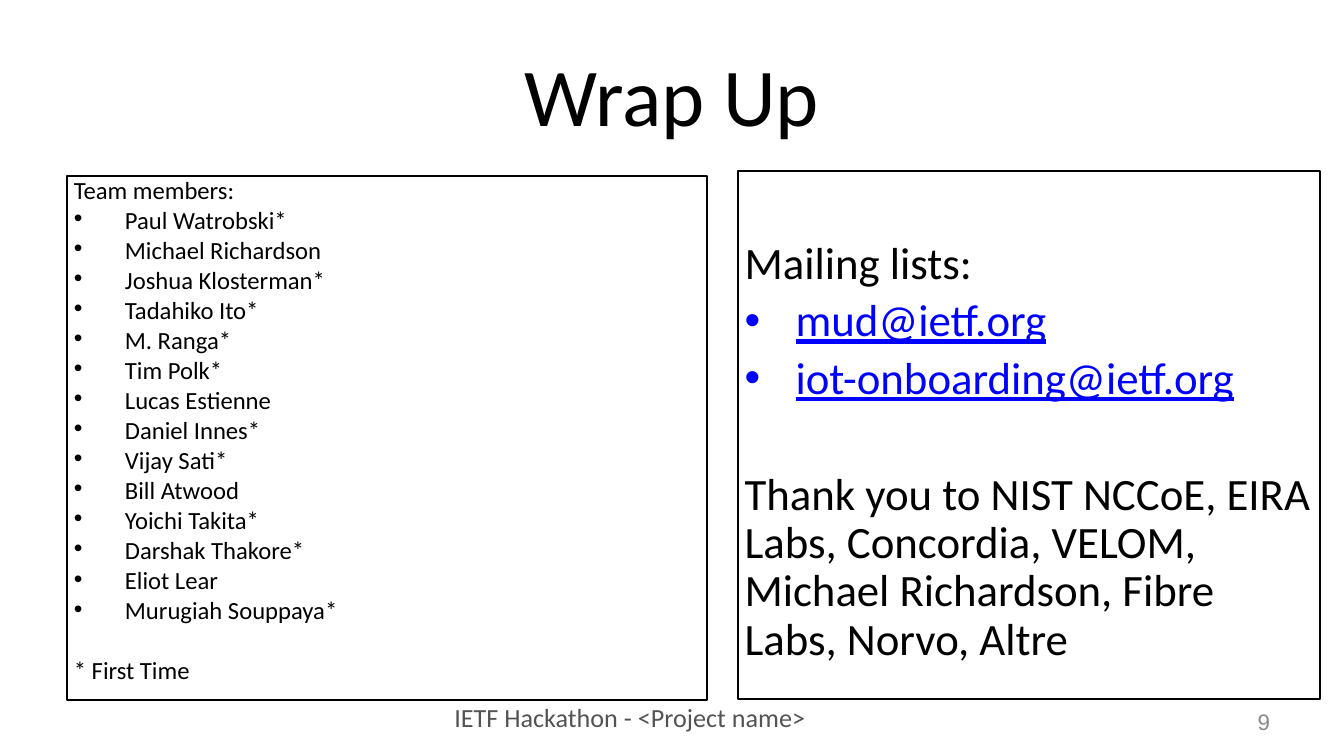
import pptx
import pptx.util
import pptx.dml.color
import pptx.enum.shapes
import pptx.enum.text
import pptx.oxml
import pptx.oxml.ns

Inches = pptx.util.Inches
Pt = pptx.util.Pt
ALIGN = pptx.enum.text.PP_ALIGN
ANCHOR = pptx.enum.text.MSO_ANCHOR

TEAM_MEMBERS = [
    "Paul Watrobski*", "Michael Richardson", "Joshua Klosterman*",
    "Tadahiko Ito*", "M. Ranga*", "Tim Polk*", "Lucas Estienne",
    "Daniel Innes*", "Vijay Sati*", "Bill Atwood", "Yoichi Takita*",
    "Darshak Thakore*", "Eliot Lear", "Murugiah Souppaya*",
]
MAILING_LISTS = ["mud@ietf.org", "iot-onboarding@ietf.org"]
THANKS = ("Thank you to NIST NCCoE, EIRA Labs, Concordia, VELOM, "
          "Michael Richardson, Fibre Labs, Norvo, Altre")


def color(value):
    return pptx.dml.color.RGBColor.from_string(value)


def set_frame(shape, anchor=ANCHOR.TOP, wrap=True, top=0.05):
    frame = shape.text_frame
    frame.word_wrap = wrap
    frame.vertical_anchor = anchor
    frame.margin_left = frame.margin_right = frame.margin_bottom = Inches(0.05)
    frame.margin_top = Inches(top)
    return frame


def add_run(paragraph, text, size, fill="000000", font="Calibri", underline=None):
    run = paragraph.add_run()
    run.text = text
    run.font.name = font
    run.font.size = Pt(size)
    run.font.underline = underline
    run.font.color.rgb = color(fill)


def add_label(slide, box, text, size, fill="000000", font="Calibri",
              align=ALIGN.LEFT, anchor=ANCHOR.TOP, wrap=False):
    shape = slide.shapes.add_textbox(*map(Inches, box))
    paragraph = set_frame(shape, anchor, wrap).paragraphs[0]
    paragraph.alignment = align
    add_run(paragraph, text, size, fill, font)


def add_panel(slide, box, top):
    shape = slide.shapes.add_shape(
        pptx.enum.shapes.MSO_SHAPE.RECTANGLE, *map(Inches, box))
    shape.shadow.inherit = False
    shape.fill.background()
    shape.line.color.rgb = color("000000")
    shape.line.width = Pt(1)
    return set_frame(shape, top=top)


def add_bullet(paragraph):
    properties = paragraph._p.get_or_add_pPr()
    properties.set("marL", str(Inches(0.38)))
    properties.set("indent", str(-Inches(0.38)))
    for tag, name, value in (("buFont", "typeface", "Arial"), ("buChar", "char", "•")):
        element = pptx.oxml.parse_xml(
            f'<a:{tag} {pptx.oxml.ns.nsdecls("a")} {name}="{value}"/>')
        properties.append(element)


def add_line(frame, text, size, spacing, before, bullet=False, **style):
    first = not frame.paragraphs[0].runs
    paragraph = frame.paragraphs[0] if first else frame.add_paragraph()
    if bullet:
        add_bullet(paragraph)
    paragraph.alignment = ALIGN.LEFT
    paragraph.line_spacing = spacing
    if not first:
        paragraph.space_before = Pt(before)
    add_run(paragraph, text, size, **style)


def add_team(slide):
    frame = add_panel(slide, (0.5, 1.31, 4.76, 3.9), top=0.05)
    add_line(frame, "Team members:", 13.2, 0.7, 0)
    for member in TEAM_MEMBERS:
        add_line(frame, member, 13.2, 0.7, 5, bullet=True)
    add_line(frame, "* First Time", 13.2, 0.7, 21)


def add_contacts(slide):
    frame = add_panel(slide, (5.49, 1.27, 4.33, 3.93), top=0.52)
    add_line(frame, "Mailing lists:", 24, 0.9, 0)
    for address in MAILING_LISTS:
        add_line(frame, address, 24, 0.9, 5, bullet=True,
                 fill="0000FF", underline=True)
    add_line(frame, THANKS, 24, 0.9, 36)


def main():
    presentation = pptx.Presentation()
    presentation.slide_width = Inches(10)
    presentation.slide_height = presentation.slide_width * 9 // 16
    slide = presentation.slides.add_slide(presentation.slide_layouts[6])
    add_label(slide, (3.33, 5.17, 3.02, 0.32), "IETF Hackathon - <Project name>",
              14, "535353")
    add_label(slide, (0.5, 0.23, 9, 0.94), "Wrap Up", 44,
              align=ALIGN.CENTER, anchor=ANCHOR.MIDDLE, wrap=True)
    add_team(slide)
    add_label(slide, (9.3, 5.22, 0.2, 0.29), "9", 12, "888888", "Arial",
              ALIGN.RIGHT, ANCHOR.MIDDLE)
    add_contacts(slide)
    presentation.save("out.pptx")


if __name__ == "__main__":
    main()
